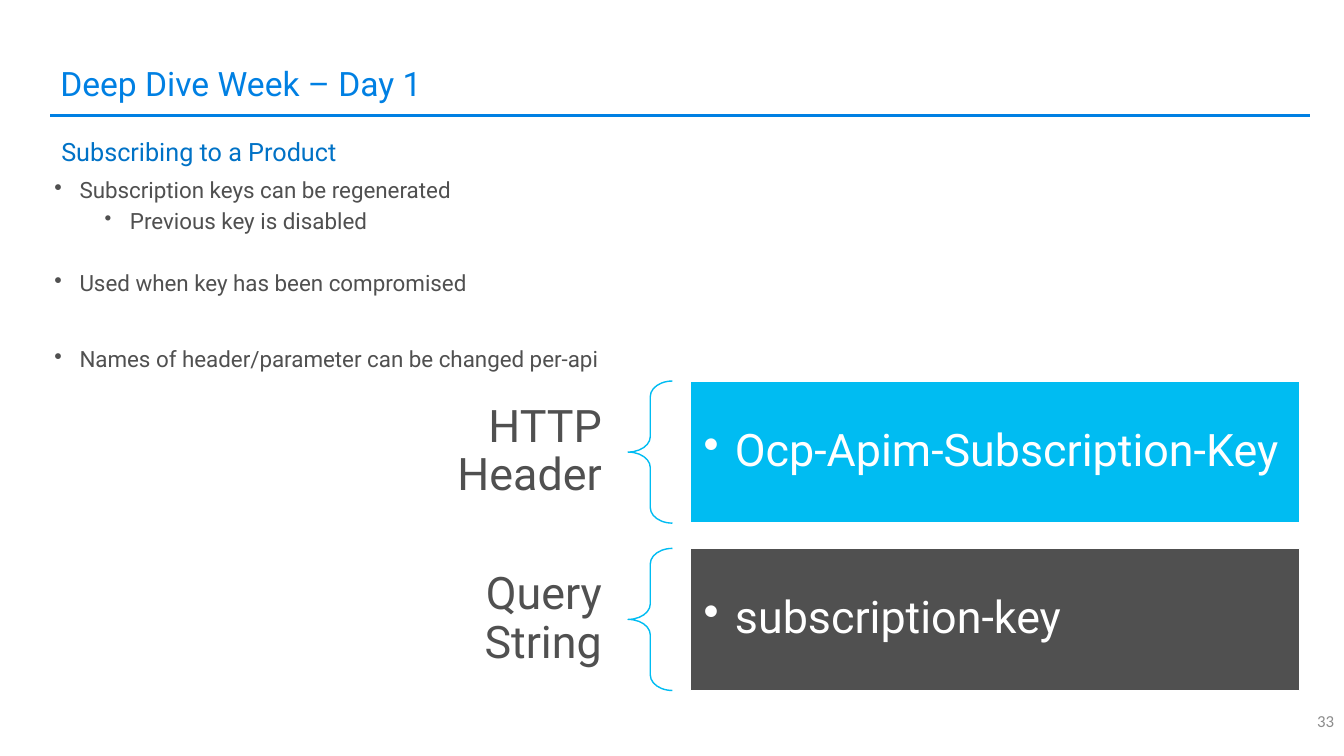
"""Build the slide on subscribing to a product."""
from dataclasses import dataclass

from lxml import etree
from pptx import Presentation
from pptx import util as u
from pptx.dml.color import RGBColor
from pptx.enum import shapes, text
from pptx.oxml.ns import qn

COLORS = {
    "title": "0080E3",
    "subtitle": "0072C6",
    "body": "505050",
    "accent": "00BCF2",
    "white": "FFFFFF",
    "number": "8C8C8C",
}
ROW_TOP, ROW_PITCH, ROW_HEIGHT = 3.78, 1.66, 1.41


@dataclass
class Bullet:
    words: str
    before: float = 0
    margin: float = 0.25
    size_percent: int = 100


@dataclass
class KeyRow:
    label: str
    key: str
    fill: str


BULLETS = [
    Bullet("Subscription keys can be regenerated"),
    Bullet("Previous key is disabled", 5, 0.75, 90),
    Bullet("Used when key has been compromised", 27),
    Bullet("Names of header/parameter can be changed per-api", 37),
]
KEY_ROWS = [
    KeyRow("HTTP Header", "Ocp-Apim-Subscription-Key", "accent"),
    KeyRow("Query String", "subscription-key", "body"),
]


def color(name: str) -> RGBColor:
    return RGBColor.from_string(COLORS[name])


def write(para, words: str, *, size: float, ink: str, font: str = "Roboto",
          align=text.PP_ALIGN.LEFT, spacing: float = 1.0) -> None:
    para.alignment = align
    para.line_spacing = spacing
    span = para.add_run()
    span.text = words
    span.font.size = u.Pt(size)
    span.font.name = font
    span.font.color.rgb = color(ink)


def add_bullet(para, margin: float, hang: float, size_percent: int = 100) -> None:
    properties = para._p.get_or_add_pPr()
    properties.set("marL", str(u.Inches(margin)))
    properties.set("indent", str(-u.Inches(hang)))
    size = etree.SubElement(properties, qn("a:buSzPct"))
    size.set("val", str(size_percent * 1000))
    etree.SubElement(properties, qn("a:buChar")).set("char", "•")


def set_frame(frame, anchor, side: float = 0.1, edge: float = 0.05) -> None:
    frame.word_wrap = True
    frame.vertical_anchor = anchor
    frame.margin_left = frame.margin_right = u.Inches(side)
    frame.margin_top = frame.margin_bottom = u.Inches(edge)


def add_text(page, place: tuple, *, anchor=text.MSO_ANCHOR.MIDDLE,
             side: float = 0.1, edge: float = 0.05):
    box = page.shapes.add_textbox(*map(u.Inches, place))
    set_frame(box.text_frame, anchor, side, edge)
    return box.text_frame


def add_shape(page, kind, place: tuple, line: str):
    shape = page.shapes.add_shape(kind, *map(u.Inches, place))
    shape.shadow.inherit = False
    shape.line.color.rgb = color(line)
    shape.line.width = u.Pt(1)
    return shape


def add_rule(page) -> None:
    rule = page.shapes.add_connector(
        shapes.MSO_CONNECTOR.STRAIGHT,
        *map(u.Inches, (0.5, 1.15, 12.99, 1.15)))
    rule.line.color.rgb = color("title")
    rule.line.width = u.Pt(2.25)
    etree.SubElement(rule._element.spPr, qn("a:effectLst"))


def add_bullets(page) -> None:
    frame = add_text(page, (0.44, 1.73, 12.22, 2.09), anchor=text.MSO_ANCHOR.TOP)
    for index, bullet in enumerate(BULLETS):
        para = frame.add_paragraph() if index else frame.paragraphs[0]
        add_bullet(para, bullet.margin, 0.25, bullet.size_percent)
        para.space_before = u.Pt(bullet.before)
        write(para, bullet.words, size=16, ink="body", spacing=0.9)


def add_key_row(page, row: KeyRow, top: float) -> None:
    label = add_text(page, (4, top, 2.22, ROW_HEIGHT), side=0.25, edge=0.09)
    write(label.paragraphs[0], row.label, size=32, ink="body",
          align=text.PP_ALIGN.RIGHT, spacing=0.9)

    brace = add_shape(page, shapes.MSO_SHAPE.LEFT_BRACE,
                      (6.23, top, 0.44, ROW_HEIGHT), "accent")
    brace.fill.background()
    brace.adjustments[0] = 0.35
    brace.adjustments[1] = 0.5

    panel = add_shape(page, shapes.MSO_SHAPE.RECTANGLE,
                      (6.85, top, 6.04, ROW_HEIGHT), "white")
    panel.fill.solid()
    panel.fill.fore_color.rgb = color(row.fill)
    set_frame(panel.text_frame, text.MSO_ANCHOR.MIDDLE, 0.13, 0.13)
    para = panel.text_frame.paragraphs[0]
    add_bullet(para, 0.31, 0.31)
    write(para, row.key, size=32, ink="white", spacing=0.9)


def main() -> None:
    deck = Presentation()
    deck.slide_width, deck.slide_height = u.Inches(13.33), u.Inches(7.5)
    page = deck.slides.add_slide(deck.slide_layouts[6])

    number = add_text(page, (10.33, 6.95, 3, 0.4))
    write(number.paragraphs[0], "33", size=12, ink="number", font="Calibri",
          align=text.PP_ALIGN.RIGHT)
    subtitle = add_text(page, (0.51, 1.15, 12.33, 0.75))
    write(subtitle.paragraphs[0], "Subscribing to a Product", size=18,
          ink="subtitle", spacing=0.9)
    title = add_text(page, (0.5, 0.58, 5.56, 0.5), anchor=text.MSO_ANCHOR.TOP)
    write(title.paragraphs[0], "Deep Dive Week – Day 1", size=24, ink="title")

    add_rule(page)
    add_bullets(page)
    for index, row in enumerate(KEY_ROWS):
        add_key_row(page, row, ROW_TOP + index * ROW_PITCH)
    deck.save("out.pptx")


if __name__ == "__main__":
    main()
